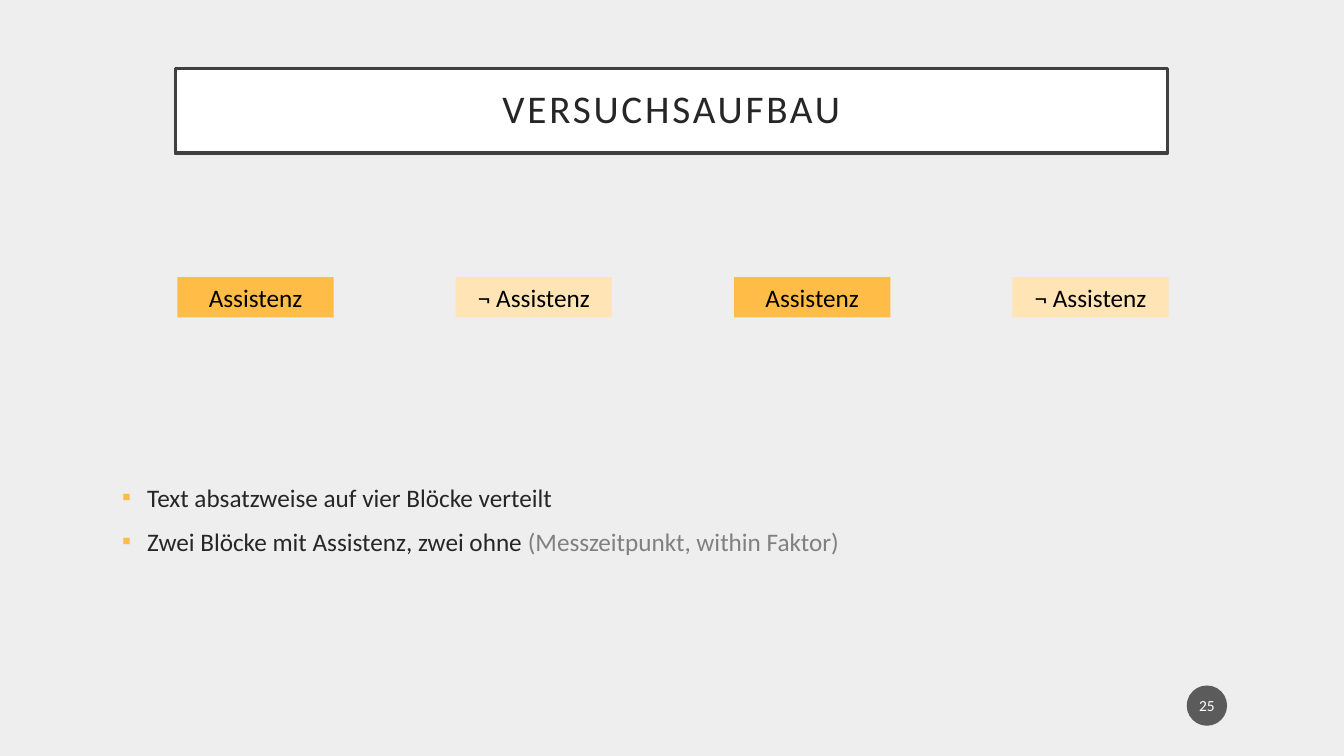
import pptx
import pptx.dml.color
import pptx.enum.shapes
import pptx.enum.text
import pptx.oxml
import pptx.oxml.ns
import pptx.util

COLOURS = {
    "background": "EDEEED",
    "white": "FFFFFF",
    "black": "000000",
    "text": "262626",
    "muted": "808080",
    "frame": "404040",
    "badge": "1D1D1D",
    "assisted": "FFBD47",
    "unassisted": "FFE5B5",
}
FONT = "Calibri"
SLIDE_WIDTH = pptx.util.Inches(13.33)
SLIDE_HEIGHT = pptx.util.Inches(7.5)
BLOCKS = [("Assistenz", "assisted"), ("¬ Assistenz", "unassisted")] * 2
BLOCK_LEFT, BLOCK_STEP = 13.2, 20.71
BULLETS = [
    [("Text absatzweise auf vier Blöcke verteilt", "text")],
    [("Zwei Blöcke mit Assistenz, zwei ohne ", "text"),
     ("(Messzeitpunkt, within Faktor)", "muted")],
]
ANCHOR = pptx.enum.text.MSO_ANCHOR
ALIGN = pptx.enum.text.PP_ALIGN
SHAPES = pptx.enum.shapes.MSO_SHAPE


def rgb(name):
    return pptx.dml.color.RGBColor.from_string(COLOURS[name])


def apply(target, values):
    for name, value in values.items():
        setattr(target, name, value)


def area(left, top, width, height):
    """Turn percentages of the slide's size into lengths."""
    return {
        "left": round(SLIDE_WIDTH * left / 100),
        "top": round(SLIDE_HEIGHT * top / 100),
        "width": round(SLIDE_WIDTH * width / 100),
        "height": round(SLIDE_HEIGHT * height / 100),
    }


def fill(target, colour):
    target.fill.solid()
    target.fill.fore_color.rgb = rgb(colour)


def set_margins(frame, side, end):
    apply(frame, {
        "margin_left": pptx.util.Inches(side),
        "margin_right": pptx.util.Inches(side),
        "margin_top": pptx.util.Inches(end),
        "margin_bottom": pptx.util.Inches(end),
    })


def add_span(para, text, size, colour):
    span = para.add_run()
    span.text = text
    apply(span.font, {"name": FONT, "size": pptx.util.Pt(size)})
    span.font.color.rgb = rgb(colour)
    return span


def add_label(slide, kind, place, colour, text, size, text_colour):
    box = slide.shapes.add_shape(kind, **place)
    box.shadow.inherit = False
    fill(box, colour)
    box.line.fill.background()
    apply(box.text_frame, {"word_wrap": True, "vertical_anchor": ANCHOR.MIDDLE})
    para = box.text_frame.paragraphs[0]
    para.alignment = ALIGN.CENTER
    add_span(para, text, size, text_colour)
    return box


def add_title(slide, text):
    title = slide.shapes.title
    apply(title, area(13.05, 9.07, 73.82, 11.2))
    fill(title, "white")
    title.line.color.rgb = rgb("frame")
    title.line.width = pptx.util.Pt(2.5)
    apply(title.text_frame, {
        "auto_size": pptx.enum.text.MSO_AUTO_SIZE.NONE,
        "word_wrap": True,
        "vertical_anchor": ANCHOR.MIDDLE,
    })
    set_margins(title.text_frame, 0.2, 0.2)
    para = title.text_frame.paragraphs[0]
    apply(para, {"alignment": ALIGN.CENTER, "line_spacing": 0.9})
    span = add_span(para, text, 28, "text")
    span.font._element.set("spc", "200")


def set_bullet(para):
    properties = para._p.get_or_add_pPr()
    indent = pptx.util.Inches(0.25)
    properties.set("marL", str(indent))
    properties.set("indent", str(-indent))
    namespace = pptx.oxml.ns.nsdecls("a")
    for markup in (
        f'<a:buClr {namespace}><a:srgbClr val="{COLOURS["assisted"]}"/></a:buClr>',
        f'<a:buFont {namespace} typeface="{FONT}"/>',
        f'<a:buChar {namespace} char="▪"/>',
    ):
        properties.append(pptx.oxml.parse_xml(markup))


def add_bullets(slide, items):
    body = slide.placeholders[1]
    apply(body, area(8.33, 63.07, 83.27, 26.93))
    frame = body.text_frame
    apply(frame, {
        "auto_size": pptx.enum.text.MSO_AUTO_SIZE.NONE,
        "vertical_anchor": ANCHOR.TOP,
    })
    for index, item in enumerate(items):
        para = frame.add_paragraph() if index else frame.paragraphs[0]
        para.space_before = pptx.util.Pt(10)
        set_bullet(para)
        for text, colour in item:
            add_span(para, text, 18, colour)


def add_page_number(slide, number):
    badge = add_label(slide, SHAPES.OVAL, area(88.3, 90.67, 3, 5.33),
                      "badge", number, 11, "white")
    set_margins(badge.text_frame, 0.02, 0.05)
    colour = badge._element.spPr.find(".//" + pptx.oxml.ns.qn("a:srgbClr"))
    colour.append(pptx.oxml.parse_xml(
        f'<a:alpha {pptx.oxml.ns.nsdecls("a")} val="70000"/>'))


def main():
    deck = pptx.Presentation()
    apply(deck, {"slide_width": SLIDE_WIDTH, "slide_height": SLIDE_HEIGHT})
    page = deck.slides.add_slide(deck.slide_layouts[1])
    fill(page.background, "background")
    add_title(page, "VERSUCHSAUFBAU")
    add_bullets(page, BULLETS)
    for index, (text, colour) in enumerate(BLOCKS):
        place = area(BLOCK_LEFT + index * BLOCK_STEP, 36.67, 11.63, 5.33)
        add_label(page, SHAPES.RECTANGLE, place, colour, text, 18, "black")
    add_page_number(page, "25")
    deck.save("out.pptx")


if __name__ == "__main__":
    main()
